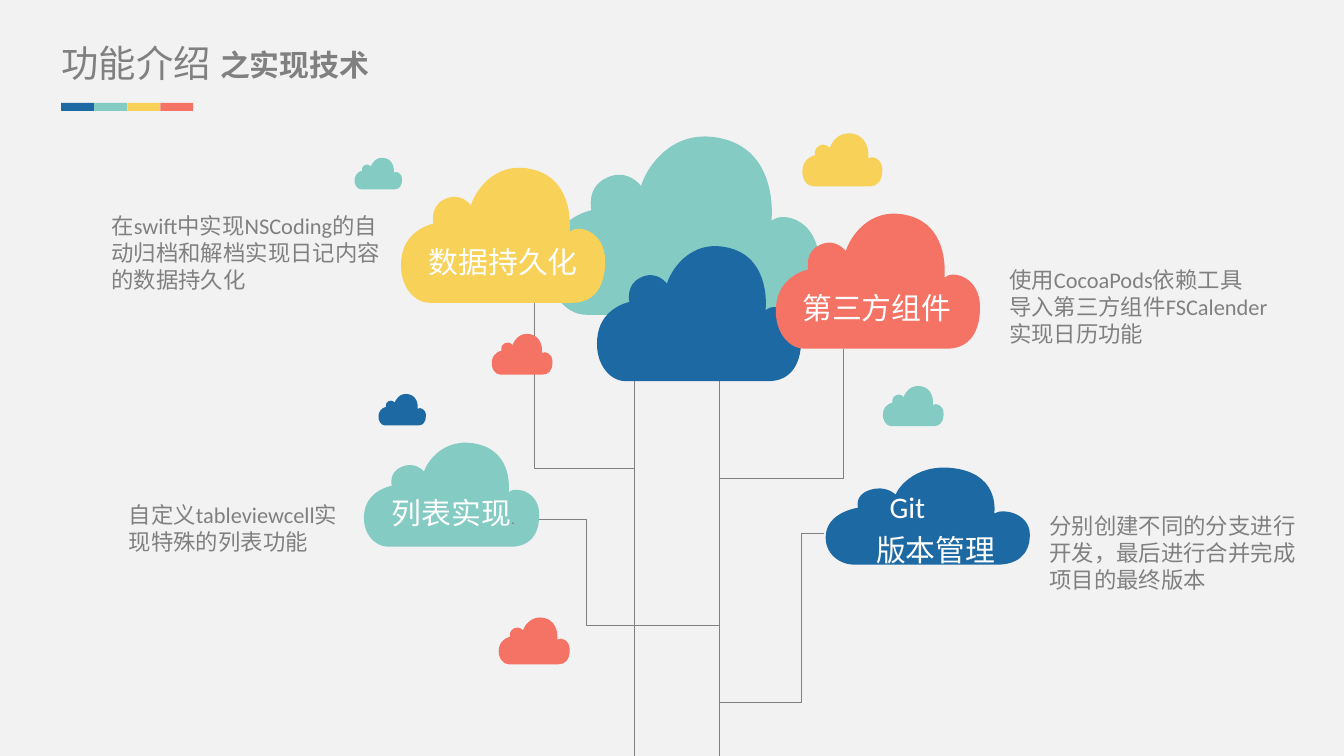
import pptx
import pptx.dml.color
import pptx.enum.shapes
import pptx.enum.text
import pptx.oxml.ns
import pptx.util
from lxml import etree

Pt = pptx.util.Pt
RGBColor = pptx.dml.color.RGBColor
Align = pptx.enum.text.PP_ALIGN
qn = pptx.oxml.ns.qn

BACKGROUND = RGBColor(0xF2, 0xF2, 0xF2)
GRAY = RGBColor(0x80, 0x80, 0x80)
WHITE = RGBColor(0xFF, 0xFF, 0xFF)
BLUE = RGBColor(0x1D, 0x69, 0xA3)
TEAL = RGBColor(0x84, 0xCB, 0xC3)
YELLOW = RGBColor(0xF8, 0xD1, 0x58)
RED = RGBColor(0xF5, 0x73, 0x65)

LATIN = "Calibri"
CHINESE = "Noto Sans CJK SC"

# Cloud outline on a 205 x 142 grid: a start, then three points per Bezier curve.
CLOUD_WIDTH, CLOUD_HEIGHT = 205, 142
CLOUD_POINTS = [
    (32, 142),
    (54, 142), (155, 142), (173, 142),
    (191, 142), (205, 130), (205, 101),
    (205, 72), (179, 64), (170, 72),
    (170, 72), (176, 22), (135, 11),
    (94, 0), (75, 37), (73, 46),
    (73, 46), (63, 32), (47, 40),
    (32, 47), (36, 64), (36, 64),
    (36, 64), (10, 69), (5, 95),
    (0, 123), (16, 142), (32, 142),
]


class CloudSlide:
    """Holds the slide and draws its elements in one style."""

    def __init__(self, slide):
        self.shapes = slide.shapes
        slide.background.fill.solid()
        slide.background.fill.fore_color.rgb = BACKGROUND

    def style(self, paragraph, size, color, font=LATIN, bold=False):
        paragraph.font.size = Pt(size)
        paragraph.font.bold = bold
        paragraph.font.color.rgb = color
        paragraph.font.name = font
        east_asian = etree.SubElement(paragraph.font._element, qn("a:ea"))
        east_asian.set("typeface", CHINESE)

    def place(self, shape, left, top, width, height, inset=True, wrap=True):
        shape.left, shape.top, shape.width, shape.height = map(Pt, (left, top, width, height))
        frame = shape.text_frame
        frame.word_wrap = wrap
        frame.auto_size = pptx.enum.text.MSO_AUTO_SIZE.NONE
        frame.vertical_anchor = pptx.enum.text.MSO_ANCHOR.TOP
        if not inset:
            frame.margin_left = frame.margin_right = 0
            frame.margin_top = frame.margin_bottom = 0
        return frame

    def title(self, text, box):
        frame = self.place(self.shapes.title, *box, inset=False)
        frame.text = text
        frame.paragraphs[0].alignment = Align.LEFT
        frame.paragraphs[0].line_spacing = 1.0
        self.style(frame.paragraphs[0], 20, GRAY, CHINESE)

    def text(self, lines, box, size=12, color=GRAY, font=LATIN, bold=False,
             align=Align.LEFT, spacing=1.0, inset=True, wrap=True):
        frame = self.place(self.shapes.add_textbox(0, 0, 0, 0), *box, inset=inset, wrap=wrap)
        frame.text = "\n".join(lines)
        for paragraph in frame.paragraphs:
            paragraph.alignment = align
            paragraph.line_spacing = spacing
            self.style(paragraph, size, color, font, bold)
        return frame

    def cloud_label(self, lines, box, align=Align.LEFT):
        return self.text(lines, box, 16, WHITE, align=align, spacing=1.2, inset=False)

    def fill(self, shape, color):
        shape.shadow.inherit = False
        shape.fill.solid()
        shape.fill.fore_color.rgb = color
        shape.line.fill.background()

    def bar(self, left, top, width, height, color):
        rectangle = pptx.enum.shapes.MSO_SHAPE.RECTANGLE
        self.fill(self.shapes.add_shape(rectangle, *map(Pt, (left, top, width, height))), color)

    def freeform(self, points):
        start, *rest = [(Pt(x), Pt(y)) for x, y in points]
        builder = self.shapes.build_freeform(*start)
        builder.add_line_segments(rest, close=False)
        return builder.convert_to_shape()

    def cloud(self, color, left, top, width, height):
        """Lay the cloud's points as a freeform and join every three into a curve."""
        shape = self.freeform([(left + x * width / CLOUD_WIDTH, top + y * height / CLOUD_HEIGHT)
                               for x, y in CLOUD_POINTS])
        outline = next(shape._element.iter(qn("a:path")))
        segments = outline.findall(qn("a:lnTo"))
        for first in range(0, len(segments), 3):
            curve = etree.SubElement(outline, qn("a:cubicBezTo"))
            for segment in segments[first:first + 3]:
                curve.append(segment[0])
                outline.remove(segment)
        etree.SubElement(outline, qn("a:close"))
        self.fill(shape, color)

    def stroke(self, line):
        line.color.rgb = GRAY
        line.width = Pt(0.5)

    def branch(self, points):
        shape = self.freeform(points)
        shape.shadow.inherit = False
        shape.fill.background()
        self.stroke(shape.line)

    def trunk(self, x, top, bottom):
        straight = pptx.enum.shapes.MSO_CONNECTOR.STRAIGHT
        connector = self.shapes.add_connector(straight, Pt(x), Pt(top), Pt(x), Pt(bottom))
        self.stroke(connector.line)
        etree.SubElement(connector._element.spPr, qn("a:effectLst"))


def main():
    deck = pptx.Presentation()
    deck.slide_width, deck.slide_height = Pt(720), Pt(405)
    page = CloudSlide(deck.slides.add_slide(deck.slide_layouts[5]))

    page.title("功能介绍", (33, 21.6, 219, 24.5))
    for index, color in enumerate((BLUE, TEAL, YELLOW, RED)):
        page.bar(32.8 + index * 17.7, 55.2, 17.7, 4.3, color)

    left_trunk, right_trunk = 339.9, 385.2
    for x in (left_trunk, right_trunk):
        page.trunk(x, 200, 405)
    page.branch([(286.4, 152), (286.4, 250.8), (left_trunk, 250.8)])
    page.branch([(right_trunk, 256.3), (451.7, 256.3), (451.7, 187)])
    page.branch([(441.5, 285.8), (429.3, 285.8), (429.3, 376.3), (right_trunk, 376.3)])
    page.branch([(right_trunk, 335.2), (314.1, 335.2), (314.1, 278.3), (288.7, 278.3)])

    for cloud in (
        (TEAL, 290.9, 66.7, 147.6, 102),
        (YELLOW, 212.6, 85, 111.6, 77.2),
        (YELLOW, 429, 69.5, 43.7, 30.4),
        (TEAL, 189.4, 83.4, 26, 18),
        (BLUE, 202.2, 209.9, 26, 18),
        (TEAL, 472.3, 205.3, 33.2, 23),
        (TEAL, 193.1, 233.4, 95.8, 59.5),
        (BLUE, 440.1, 247, 111.6, 55.5),
        (RED, 266.4, 329.1, 38.8, 26.8),
        (RED, 262.8, 177.4, 33.2, 23.3),
        (BLUE, 317.6, 127, 111.6, 77.2),
        (RED, 413.4, 109.6, 111.6, 77.2),
    ):
        page.cloud(*cloud)

    list_label = page.cloud_label(["列表实现"], (111.6, 261.4, 164.2, 23), Align.RIGHT)
    dot = list_label.paragraphs[0].add_run()
    dot.text = "."
    dot.font.size = Pt(8)
    dot.font.color.rgb = GRAY
    page.cloud_label(["数据持久化"], (145.4, 126.7, 164.2, 24.5), Align.RIGHT)
    page.cloud_label(["第三方组件"], (429.8, 151.2, 164.2, 24.5))
    git_label = page.cloud_label(["Git", "版本管理"], (469.4, 257.8, 164.2, 44.6))
    git_label.paragraphs[0]._p.get_or_add_pPr().set("marL", str(Pt(7.2)))

    page.text(["之实现技术"], (110.9, 21.6, 95.8, 26.6), 16, font=CHINESE, bold=True, wrap=False)
    page.text(["使用CocoaPods依赖工具", "导入第三方组件FSCalender", "实现日历功能"],
              (533.5, 139, 156.2, 51.1))
    page.text(["在swift中实现NSCoding的自动归档和解档实现日记内容的数据持久化"],
              (52.6, 110.2, 159.1, 51.1))
    page.text(["自定义tableviewcell实现特殊的列表功能"], (61.9, 265, 131, 36))
    page.text(["分别创建不同的分支进行开发，最后进行合并完成项目的最终版本"],
              (555.1, 270.7, 156.2, 51.1))

    deck.save("out.pptx")


if __name__ == "__main__":
    main()
